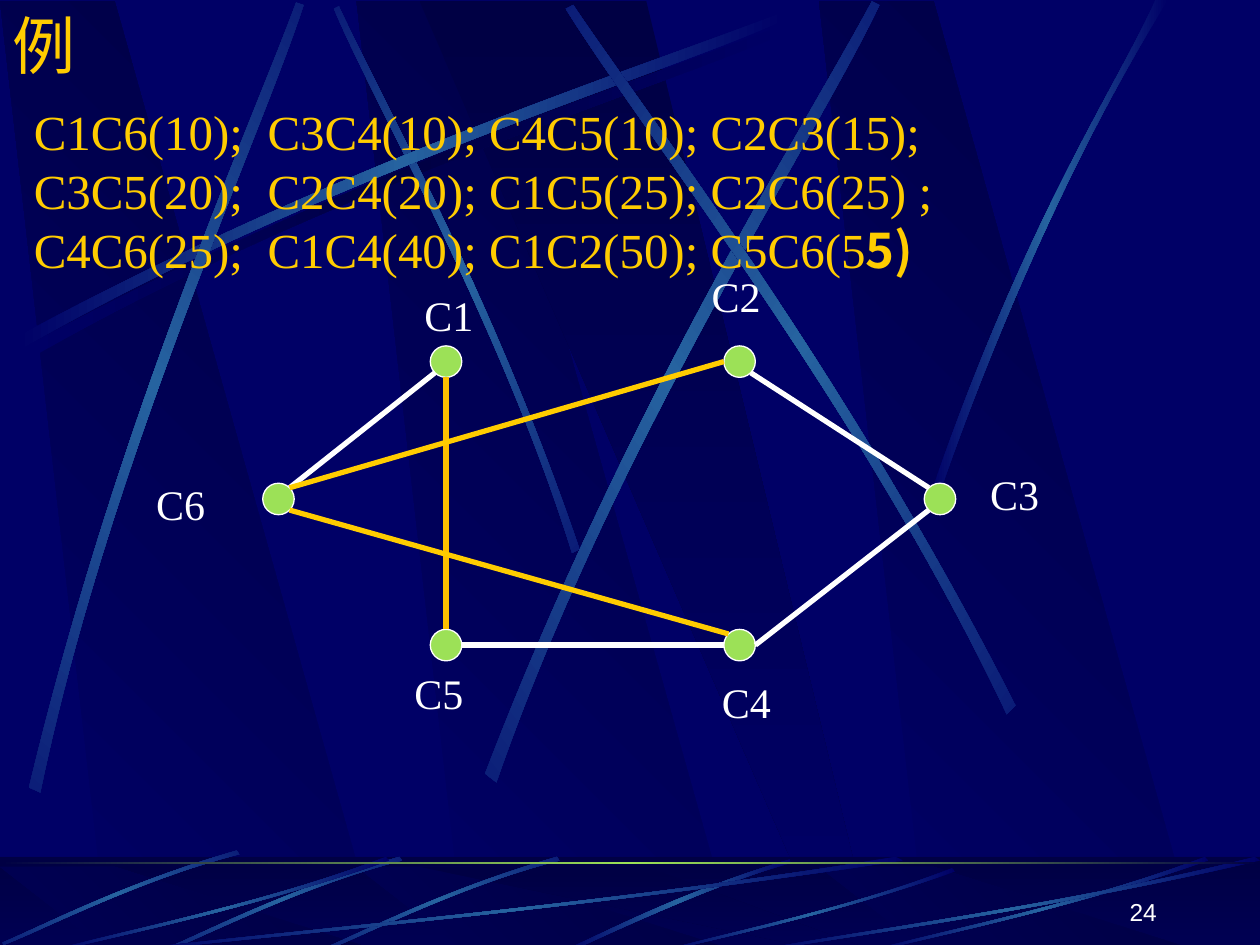
from math import cos, radians, sin, sqrt

from lxml import etree
from pptx import Presentation
from pptx.dml.color import RGBColor
from pptx.enum.shapes import MSO_CONNECTOR as Connector, MSO_SHAPE as Shape
from pptx.enum.text import MSO_ANCHOR as Anchor, PP_ALIGN as Align
from pptx.oxml import parse_xml
from pptx.oxml.ns import nsdecls, qn
from pptx.util import Inches, Pt

COLORS = {
    "navy": "000066", "dark": "000044", "beam": "2663A0", "green": "9CE157",
    "gold": "FFCC00", "amber": "FFC000", "white": "FFFFFF",
}
SERIF, SANS, CJK = "Times New Roman", "Arial", "Noto Sans CJK SC"
GLOW = ("navy", "beam", "navy")
SHADE = ("navy", "dark", "navy")

BACKDROP_BEAMS = [
    ([(0.2, 2.75), (2.84, 1.34), (5.24, 0.59), (6.26, 0.18),
      (6.29, 0.24), (5.28, 0.69), (2.54, 1.51), (0.23, 2.85)], SHADE, 0),
    ([(4.6, 4.36), (3.91, 2.34), (3.02, 0.77), (2.69, 0.05),
      (2.65, 0.07), (2.95, 0.79), (3.98, 2.58), (4.54, 4.39)], GLOW, 45),
    ([(0.14, 2.67), (2.78, 1.25), (5.18, 0.51), (6.2, 0.1),
      (6.23, 0.16), (5.22, 0.61), (2.48, 1.43), (0.17, 2.77)], GLOW, 0),
    ([(0.23, 6.25), (0.93, 3.34), (1.97, 1.05), (2.35, 0.02),
      (2.41, 0.04), (2.07, 1.09), (0.86, 3.68), (0.32, 6.29)], GLOW, 311.7),
    ([(3.85, 6.14), (4.98, 3.2), (6.38, 1.02), (6.92, 0.01),
      (6.98, 0.04), (6.49, 1.08), (4.86, 3.55), (3.94, 6.21)], GLOW, 321.6),
    ([(8.06, 5.6), (6.7, 2.93), (5.16, 0.95), (4.55, 0.04),
      (4.49, 0.07), (5.07, 1.01), (6.85, 3.25), (7.99, 5.67)], GLOW, 34.7),
    ([(7.38, 3.94), (8.14, 1.73), (8.88, 0.66), (9.17, 0),
      (9.27, 0), (8.36, 1.45), (7.69, 3.22), (7.44, 3.97)], GLOW, 0),
]
STEEP_BEAM = [(1.79, 0.02), (0.89, 0.29), (0.29, 0.62), (0, 0.74),
              (0.05, 0.75), (0.42, 0.58), (1.23, 0.2), (1.8, 0.05)]
TILTED_BEAM = [(1.86, 0), (0.99, 0.25), (0.31, 0.6), (0, 0.73),
               (0.01, 0.75), (0.32, 0.63), (1.09, 0.23), (1.88, 0.03)]
FLAT_BEAM = [(1, 0.04), (0.57, 0.57), (0.17, 0.85), (0.01, 1),
             (0, 0.99), (0.17, 0.81), (0.62, 0.51), (0.99, 0)]
TILTED_PLACES = [(2.56, 0), (1.31, 0), (0.02, -0.05)]
FLAT_PLACES = [(1, 6.17, 0.75), (0.42, 2.67, 0.75), (5.27, 2.31, 0.66),
               (6.92, 2.67, 0.75), (6, 4, 0.75)]

NODES = {
    "C1": ((3.54, 2.87), (3.27, 2.25)), "C2": ((5.87, 2.87), (5.55, 2.1)),
    "C3": ((7.46, 3.96), (7.76, 3.67)), "C4": ((5.87, 5.12), (5.63, 5.32)),
    "C5": ((3.54, 5.12), (3.19, 5.25)), "C6": ((2.21, 3.96), (1.14, 3.75)),
}
EDGES = [
    ("C6", "NE", "C1", "SW", "white"), ("C5", "E", "C4", "W", "white"),
    ("C2", "SE", "C3", "NW", "white"), ("C4", "E", "C3", "SW", "white"),
    ("C1", "S", "C5", "N", "amber"), ("C6", "NE", "C2", "W", "gold"),
    ("C6", "SE", "C4", "NW", "gold"),
]
WEIGHTS = (
    "C1C6(10);  C3C4(10); C4C5(10); C2C3(15); \v"
    "C3C5(20);  C2C4(20); C1C5(25); C2C6(25) ;\v"
    "C4C6(25);  C1C4(40); C1C2(50); C5C6(5"
)


def rgb(name):
    """Return the named colour."""
    return RGBColor.from_string(COLORS[name])


def paint_gradient(shape, names, angle):
    """Fill a borderless shape with evenly spaced colours along an angle."""
    shape.shadow.inherit = False
    shape.line.fill.background()
    stops = "".join(
        f'<a:gs pos="{100000 * i // (len(names) - 1)}"><a:srgbClr val="{COLORS[name]}"/></a:gs>'
        for i, name in enumerate(names))
    shape._element.spPr.find(qn("a:ln")).addprevious(parse_xml(
        f'<a:gradFill {nsdecls("a")} rotWithShape="1"><a:gsLst>{stops}</a:gsLst>'
        f'<a:lin ang="{angle * 60000}" scaled="0"/></a:gradFill>'))


def add_outline(slide, points, names, angle):
    """Draw a closed gradient outline through points in inches."""
    start, *rest = [(Inches(x), Inches(y)) for x, y in points]
    builder = slide.shapes.build_freeform(*start)
    builder.add_line_segments(rest, close=True)
    outline = builder.convert_to_shape()
    paint_gradient(outline, names, angle)
    return outline


def turn(x, y, angle):
    """Rotate a point clockwise about the origin."""
    c, s = cos(radians(angle)), sin(radians(angle))
    return x * c - y * s, x * s + y * c


def add_beam(slide, points, names=GLOW, rotation=0):
    """Draw a beam with two curved edges, its frame turned by the rotation."""
    beam = add_outline(slide, [turn(x, y, -rotation) for x, y in points], names, 0)
    lines = list(beam._element.iter(qn("a:lnTo")))
    for first, *others in (lines[:3], lines[4:7]):
        bend = etree.Element(qn("a:cubicBezTo"))
        first.addprevious(bend)
        for line in (first, *others):
            bend.append(line[0])
            line.getparent().remove(line)
    x, y = turn(beam.left + beam.width / 2, beam.top + beam.height / 2, rotation)
    beam.left, beam.top = round(x - beam.width / 2), round(y - beam.height / 2)
    beam.rotation = rotation


def add_panels(slide, top, height):
    """Draw the slanted backdrop panels in a full-width band."""
    bottom = top + height
    for left in (2.83, 0, 6.5):
        add_outline(slide, [(left + 0.86, bottom), (left + 3.02, bottom), (left + 0.91, top),
                            (left, top)], ("navy", "dark"), 315)
    add_outline(slide, [(3.33, top), (6.58, bottom), (6.94, bottom), (5.13, top)],
                ("dark", "navy"), 90)


def add_band(slide, top, height):
    """Add a full-width rectangle."""
    return slide.shapes.add_shape(Shape.RECTANGLE, 0, Inches(top), Inches(10), Inches(height))


def add_backdrop(slide):
    """Draw the panels and beams behind the content."""
    add_panels(slide, 0.01, 7.51)
    for beam in BACKDROP_BEAMS:
        add_beam(slide, *beam)


def add_footer(slide, top, height):
    """Draw the footer band with its beams, rule and page number."""
    paint_gradient(add_band(slide, top, height), ("dark", "navy"), 90)
    add_panels(slide, top + 0.08, height - 0.08)
    veil = add_band(slide, top, height)
    veil.shadow.inherit = False
    veil.line.fill.background()
    veil.fill.solid()
    veil.fill.fore_color.rgb = rgb("dark")
    tint = veil._element.spPr.find(qn("a:solidFill"))[0]
    etree.SubElement(tint, qn("a:alpha")).set("val", "50000")
    add_beam(slide, [(4.48 + x, top + y) for x, y in STEEP_BEAM])
    for left, shift in TILTED_PLACES:
        add_beam(slide, [(left + x, top + shift + y) for x, y in TILTED_BEAM], rotation=315)
    for left, width, rise in FLAT_PLACES:
        add_beam(slide, [(left + x * width, top + height + (y - 1) * rise) for x, y in FLAT_BEAM])
    paint_gradient(add_band(slide, top + 0.04, 0.02), ("dark", "green", "dark"), 0)
    page = add_text(slide, (7.2, 6.9, 2.08, 0.5), "24", 14, SANS, "white", Anchor.BOTTOM)
    page.alignment = Align.RIGHT


def style_run(run, size, face, color, bold=False):
    """Set the font of a run for Latin and East Asian text."""
    run.font.size, run.font.name, run.font.bold = Pt(size), face, bold
    run.font.color.rgb = rgb(color)
    run.font._element.find(qn("a:latin")).addnext(
        parse_xml(f'<a:ea {nsdecls("a")} typeface="{face}"/>'))


def add_text(slide, box, words, size, face, color, anchor=Anchor.TOP):
    """Add a text box and return its paragraph."""
    frame = slide.shapes.add_textbox(*map(Inches, box)).text_frame
    frame.word_wrap, frame.vertical_anchor = True, anchor
    paragraph = frame.paragraphs[0]
    paragraph.text = words
    for run in paragraph.runs:
        style_run(run, size, face, color)
    return paragraph


def add_weights(slide, box):
    """Write the sorted list of edge weights."""
    weights = add_text(slide, box, WEIGHTS, 28, SERIF, "gold", Anchor.MIDDLE)
    weights.line_spacing = Pt(33.7)
    ending = weights.add_run()
    ending.text = "5)"
    style_run(ending, 28, CJK, "gold", True)


def rim_point(node, side, radius):
    """Return the point on a node's rim in a compass direction."""
    dx = ("E" in side) - ("W" in side)
    dy = ("S" in side) - ("N" in side)
    reach = radius / sqrt(dx * dx + dy * dy)
    x, y = NODES[node][0]
    return Inches(x + dx * reach), Inches(y + dy * reach)


def add_graph(slide, radius):
    """Draw the graph of nodes, edges and labels."""
    for x, y in (centre for centre, _ in NODES.values()):
        node = slide.shapes.add_shape(Shape.OVAL, Inches(x - radius), Inches(y - radius),
                                      Inches(2 * radius), Inches(2 * radius))
        node.shadow.inherit = False
        node.fill.solid()
        node.fill.fore_color.rgb = rgb("green")
        node.line.color.rgb, node.line.width = rgb("white"), Pt(0.75)
    for tail, tail_side, head, head_side, color in EDGES:
        edge = slide.shapes.add_connector(Connector.STRAIGHT, *rim_point(tail, tail_side, radius),
                                          *rim_point(head, head_side, radius))
        edge.line.color.rgb, edge.line.width = rgb(color), Pt(3)
        etree.SubElement(edge._element.spPr, qn("a:effectLst"))
    for label, (_, corner) in NODES.items():
        add_text(slide, (*corner, 0.79, 0.51), label, 24, SERIF, "white")


def main():
    """Build and save the slide."""
    deck = Presentation()
    deck.slide_width, deck.slide_height = Inches(10), Inches(7.5)
    slide = deck.slides.add_slide(deck.slide_layouts[6])
    slide.background.fill.solid()
    slide.background.fill.fore_color.rgb = rgb("navy")
    add_backdrop(slide)
    add_footer(slide, 6.8, 0.75)
    add_weights(slide, (0.17, 0.75, 9.46, 1.51))
    add_graph(slide, 0.125)
    add_text(slide, (0, 0, 8.5, 0.71), "例", 36, CJK, "gold", Anchor.MIDDLE)
    deck.save("out.pptx")


if __name__ == "__main__":
    main()
